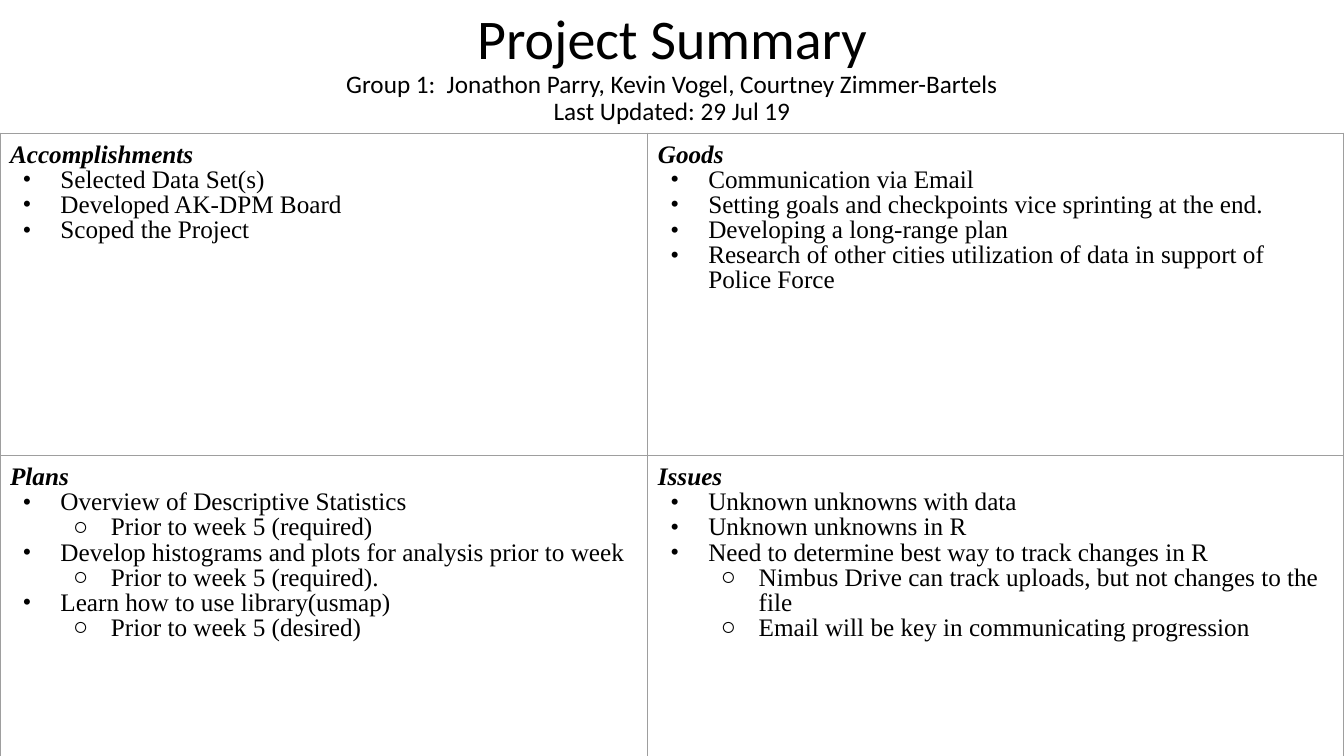
from dataclasses import dataclass

from lxml import etree
from pptx import Presentation
from pptx.dml.color import RGBColor
from pptx.enum import text
from pptx.oxml import ns
from pptx.util import Pt


@dataclass(frozen=True)
class Theme:
    ink: str = "000000"
    grid: str = "9E9E9E"
    title_font: str = "Calibri"
    body_font: str = "Times New Roman"
    title_size: int = 40
    body_size: int = 18
    line_spacing: float = 0.9


THEME = Theme()
SLIDE_WIDTH, SLIDE_HEIGHT = 960, 540
TABLE_TOP = 95
LEFT_COLUMN = 462.75
TOP_ROW = 230.4
CELL_MARGIN = 7.2
BULLETS = "•○"
INDENT, HANGING = 36, 27

TITLE = "Project Summary"
DETAILS = ("Group 1:  Jonathon Parry, Kevin Vogel, Courtney Zimmer-Bartels",
           "Last Updated: 29 Jul 19")

# Each quadrant: heading, then (level, item) pairs
QUADRANTS = [
    [
        ("Accomplishments", [
            (0, "Selected Data Set(s)"),
            (0, "Developed AK-DPM Board"),
            (0, "Scoped the Project"),
        ]),
        ("Goods", [
            (0, "Communication via Email"),
            (0, "Setting goals and checkpoints vice sprinting at the end."),
            (0, "Developing a long-range plan"),
            (0, "Research of other cities utilization of data in support of Police Force"),
        ]),
    ],
    [
        ("Plans", [
            (0, "Overview of Descriptive Statistics"),
            (1, "Prior to week 5 (required)"),
            (0, "Develop histograms and plots for analysis prior to week"),
            (1, "Prior to week 5 (required)."),
            (0, "Learn how to use library(usmap)"),
            (1, "Prior to week 5 (desired)"),
        ]),
        ("Issues", [
            (0, "Unknown unknowns with data"),
            (0, "Unknown unknowns in R"),
            (0, "Need to determine best way to track changes in R"),
            (1, "Nimbus Drive can track uploads, but not changes to the file"),
            (1, "Email will be key in communicating progression"),
        ]),
    ],
]


def format_run(run, font, size, heading=False):
    run.font.name = font
    run.font.size = Pt(size)
    run.font.bold = run.font.italic = heading
    run.font.color.rgb = RGBColor.from_string(THEME.ink)


def add_color(parent, color):
    etree.SubElement(parent, ns.qn("a:srgbClr"), val=color)


def add_title(slide):
    title = slide.shapes.add_textbox(Pt(66), Pt(3), Pt(828), Pt(92))
    frame = title.text_frame
    frame.word_wrap = True
    frame.vertical_anchor = text.MSO_ANCHOR.MIDDLE
    lines = frame.paragraphs[0]
    lines.text = "\n".join((TITLE, *DETAILS))
    lines.alignment = text.PP_ALIGN.CENTER
    lines.line_spacing = THEME.line_spacing
    heading, *details = lines.runs
    format_run(heading, THEME.title_font, THEME.title_size)
    for detail in details:
        format_run(detail, THEME.title_font, THEME.body_size)


def add_bullet(paragraph, level):
    paragraph.level = level
    properties = paragraph._p.get_or_add_pPr()
    properties.set("marL", str(Pt(INDENT * (level + 1))))
    properties.set("indent", str(-Pt(HANGING)))
    add_color(etree.SubElement(properties, ns.qn("a:buClr")), THEME.ink)
    etree.SubElement(properties, ns.qn("a:buFont"), typeface=THEME.body_font)
    etree.SubElement(properties, ns.qn("a:buChar"), char=BULLETS[level])


def add_borders(cell):
    properties = cell._tc.get_or_add_tcPr()
    for position, side in enumerate(("lnL", "lnR", "lnT", "lnB")):
        border = etree.Element(ns.qn(f"a:{side}"), w=str(Pt(0.75)))
        add_color(etree.SubElement(border, ns.qn("a:solidFill")), THEME.grid)
        properties.insert(position, border)


def fill_quadrant(cell, heading, items):
    cell.margin_left = cell.margin_right = Pt(CELL_MARGIN)
    cell.margin_top = cell.margin_bottom = Pt(CELL_MARGIN)
    cell.fill.background()
    add_borders(cell)
    frame = cell.text_frame
    frame.text = "\n".join([heading, *(item for _, item in items)])
    for paragraph in frame.paragraphs:
        paragraph.line_spacing = THEME.line_spacing
    title, *bullets = frame.paragraphs
    format_run(title.runs[0], THEME.body_font, THEME.body_size, heading=True)
    for paragraph, (level, _) in zip(bullets, items):
        add_bullet(paragraph, level)
        format_run(paragraph.runs[0], THEME.body_font, THEME.body_size)


def add_quadrants(slide):
    height = SLIDE_HEIGHT - TABLE_TOP
    table = slide.shapes.add_table(
        2, 2, 0, Pt(TABLE_TOP), Pt(SLIDE_WIDTH), Pt(height)).table
    table.first_row = table.horz_banding = False
    for column, width in zip(table.columns, (LEFT_COLUMN, SLIDE_WIDTH - LEFT_COLUMN)):
        column.width = Pt(width)
    for row, row_height in zip(table.rows, (TOP_ROW, height - TOP_ROW)):
        row.height = Pt(row_height)
    for row, quadrants in zip(table.rows, QUADRANTS):
        for cell, (heading, items) in zip(row.cells, quadrants):
            fill_quadrant(cell, heading, items)


def main():
    presentation = Presentation()
    presentation.slide_width = Pt(SLIDE_WIDTH)
    presentation.slide_height = Pt(SLIDE_HEIGHT)
    slide = presentation.slides.add_slide(presentation.slide_layouts[6])
    add_title(slide)
    add_quadrants(slide)
    presentation.save("out.pptx")


if __name__ == "__main__":
    main()
